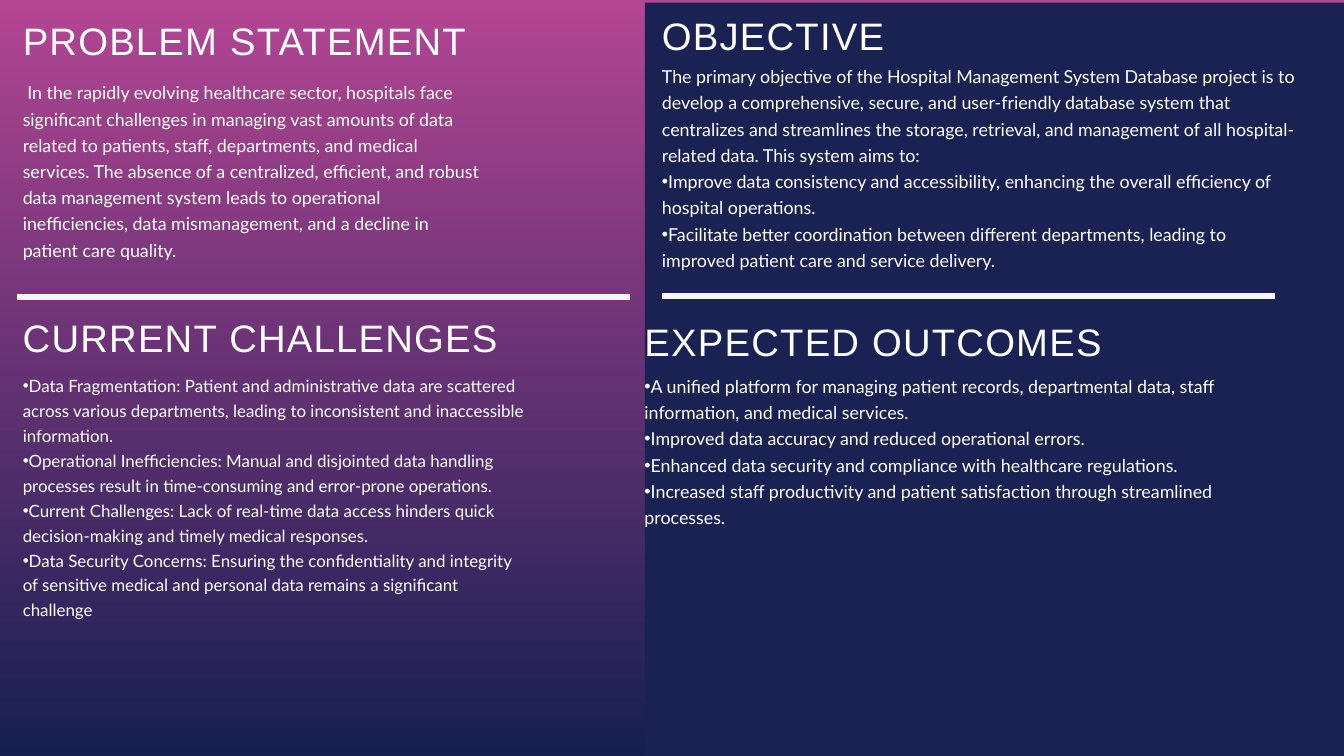
from lxml import etree
from pptx import Presentation
from pptx import util as u
from pptx.dml.color import RGBColor
from pptx.enum import shapes, text
from pptx.oxml import ns

WHITE = RGBColor(0xFF, 0xFF, 0xFF)
OFF_WHITE = RGBColor(0xF5, 0xF5, 0xF5)
NAVY = RGBColor(0x19, 0x22, 0x53)
PINK = RGBColor(0xB3, 0x45, 0x93)
DEEP_BLUE = RGBColor(0x15, 0x1F, 0x52)


def prepare_frame(box, left, top, width, height):
    box.left, box.top, box.width, box.height = map(u.Cm, (left, top, width, height))
    frame = box.text_frame
    frame.margin_left = frame.margin_top = frame.margin_right = frame.margin_bottom = 0
    frame.word_wrap = True
    frame.auto_size = text.MSO_AUTO_SIZE.NONE
    frame.vertical_anchor = text.MSO_ANCHOR.TOP
    return frame


def format_paragraph(paragraph, font_name, size, spacing, alignment):
    paragraph.alignment = alignment
    paragraph.line_spacing = u.Pt(spacing)
    paragraph.space_before = paragraph.space_after = u.Pt(0)
    font = paragraph.font
    font.name = font_name
    font.size = u.Pt(size)
    font.bold = False
    font.color.rgb = WHITE


prs = Presentation()
prs.slide_width, prs.slide_height = u.Cm(50.8), u.Cm(28.58)
slide = prs.slides.add_slide(prs.slide_layouts.get_by_name("Comparison"))

backdrop = slide.background.fill
backdrop.gradient()
backdrop.gradient_angle = 270
for stop, color in zip(backdrop.gradient_stops, (PINK, DEEP_BLUE)):
    stop.color.rgb = color

right_panel = slide.shapes.add_shape(
    shapes.MSO_SHAPE.RECTANGLE, u.Cm(24.38), u.Cm(0.1), u.Cm(26.42), u.Cm(28.48))
right_panel.shadow.inherit = False
right_panel.fill.solid()
right_panel.fill.fore_color.rgb = NAVY
right_panel.line.fill.background()
slide.shapes._spTree.insert(2, right_panel._element)

for start, end, y in ((0.64, 23.83, 11.23), (25.02, 48.21, 11.18)):
    divider = slide.shapes.add_connector(
        shapes.MSO_CONNECTOR.STRAIGHT, u.Cm(end), u.Cm(y), u.Cm(start), u.Cm(y))
    divider.line.color.rgb = OFF_WHITE
    divider.line.width = u.Pt(6)
    etree.SubElement(divider._element.spPr, ns.qn("a:effectLst"))

sections = [
    ("PROBLEM STATEMENT", (0.86, 0.79, 21.54, 1.75), (0.86, 2.92, 17.35, 7.82), 19.1, 28.1,
     " In the rapidly evolving healthcare sector, hospitals face significant challenges in "
     "managing vast amounts of data related to patients, staff, departments, and medical "
     "services. The absence of a centralized, efficient, and robust data management system "
     "leads to operational inefficiencies, data mismanagement, and a decline in patient care "
     "quality.",
     []),
    ("CURRENT CHALLENGES", (0.86, 12.04, 20.52, 1.75), (0.86, 14.03, 19.18, 11.02), 18.1, 26.7,
     None,
     ["Data Fragmentation: Patient and administrative data are scattered across various "
      "departments, leading to inconsistent and inaccessible information.",
      "Operational Inefficiencies: Manual and disjointed data handling processes result in "
      "time-consuming and error-prone operations.",
      "Current Challenges: Lack of real-time data access hinders quick decision-making and "
      "timely medical responses.",
      "Data Security Concerns: Ensuring the confidentiality and integrity of sensitive "
      "medical and personal data remains a significant challenge"]),
    ("OBJECTIVE", (25.02, 0.61, 19.18, 1.75), (25.02, 2.31, 24.21, 8.89), 19.1, 28.1,
     "The primary objective of the Hospital Management System Database project is to develop "
     "a comprehensive, secure, and user-friendly database system that centralizes and "
     "streamlines the storage, retrieval, and management of all hospital-related data. This "
     "system aims to:",
     ["Improve data consistency and accessibility, enhancing the overall efficiency of "
      "hospital operations.",
      "Facilitate better coordination between different departments, leading to improved "
      "patient care and service delivery."]),
    ("EXPECTED OUTCOMES", (24.36, 12.17, 22.12, 1.75), (24.36, 14.02, 24.21, 6.83), 19.1, 28.1,
     None,
     ["A unified platform for managing patient records, departmental data, staff "
      "information, and medical services.",
      "Improved data accuracy and reduced operational errors.",
      "Enhanced data security and compliance with healthcare regulations.",
      "Increased staff productivity and patient satisfaction through streamlined "
      "processes."]),
]

for number, (title, title_area, body_area, size, spacing, intro, points) in enumerate(sections, 1):
    heading = slide.shapes.title if number == 1 else slide.shapes.add_textbox(0, 0, 0, 0)
    heading_line = prepare_frame(heading, *title_area).paragraphs[0]
    heading_run = heading_line.add_run()
    heading_run.text = title
    heading_run._r.get_or_add_rPr().set("spc", "130")
    format_paragraph(heading_line, "Arial", 41, 45.1, text.PP_ALIGN.JUSTIFY)

    body = prepare_frame(slide.placeholders[number], *body_area)
    entries = ([(intro, False)] if intro else []) + [(point, True) for point in points]
    for position, (wording, bulleted) in enumerate(entries):
        paragraph = body.add_paragraph() if position else body.paragraphs[0]
        paragraph.add_run().text = wording
        properties = paragraph._p.get_or_add_pPr()
        properties.set("marL", "0")
        properties.set("indent", "0")
        if bulleted:
            etree.SubElement(properties, ns.qn("a:buChar"), char="•")
        else:
            etree.SubElement(properties, ns.qn("a:buNone"))
        format_paragraph(paragraph, "Lato", size, spacing, text.PP_ALIGN.LEFT)

prs.save("out.pptx")
